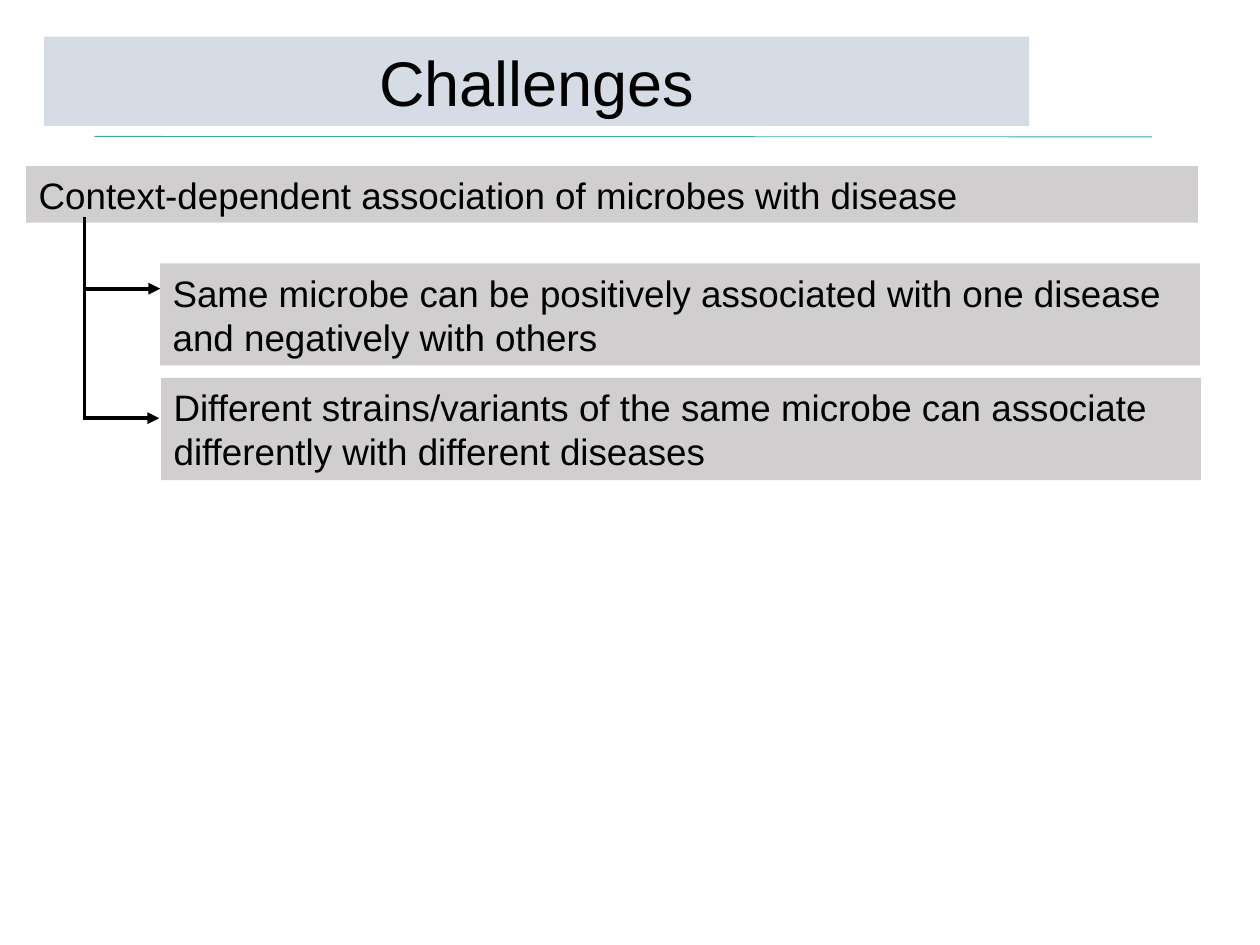
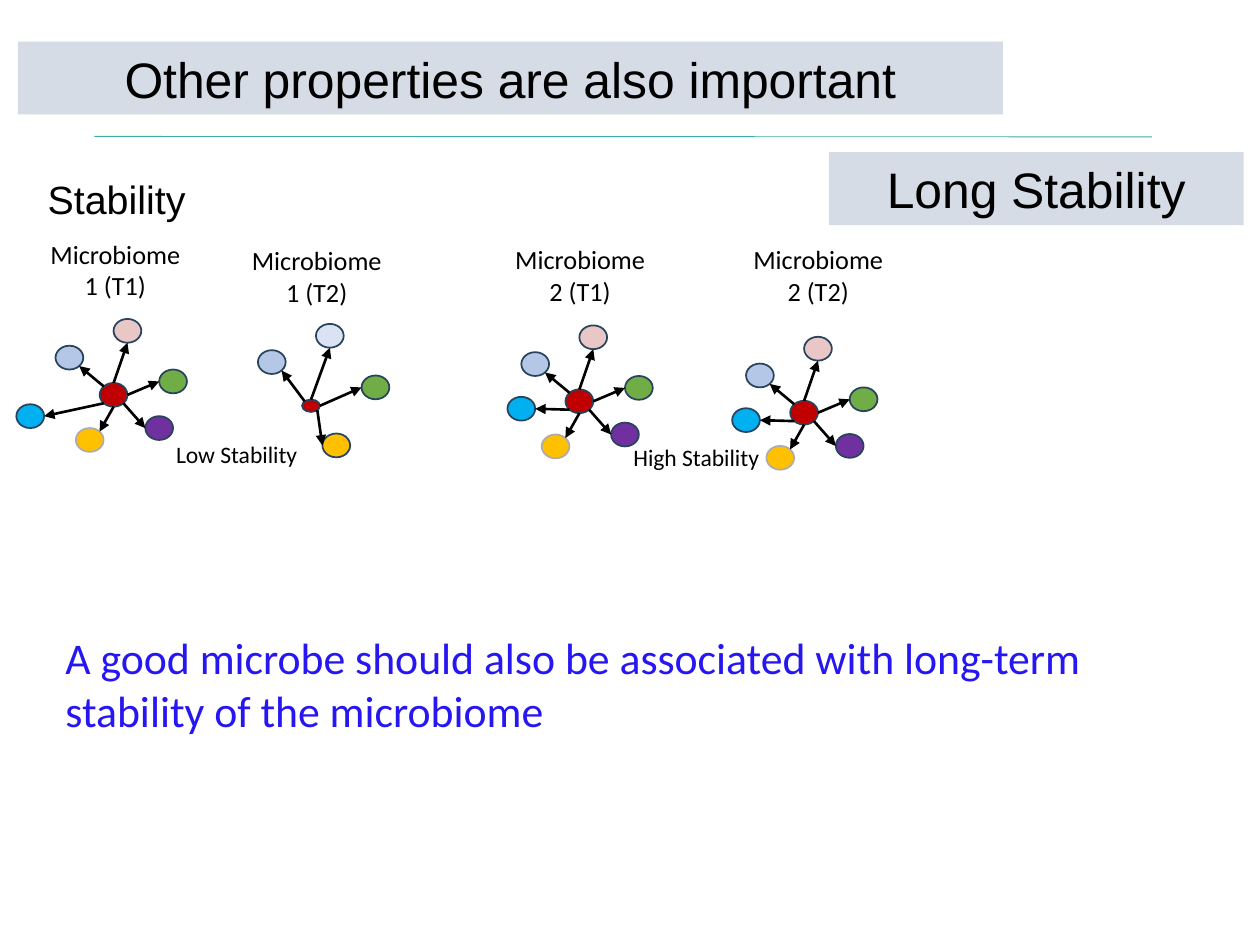
from dataclasses import dataclass
from math import cos, radians, sin

from lxml.etree import SubElement
from pptx import Presentation
from pptx.dml.color import RGBColor
from pptx.enum.shapes import MSO_CONNECTOR, MSO_SHAPE
from pptx.enum.text import MSO_AUTO_SIZE, PP_ALIGN
from pptx.oxml.ns import qn
from pptx.util import Cm, Pt


@dataclass(frozen=True)
class Theme:
    heading_font: str = "Arial"
    label_font: str = "Calibri"
    ink: str = "000000"
    accent: str = "2616F2"
    rule: str = "3DACA7"
    band: str = "D6DCE5"
    panel: str = "D0CECE"
    outline: str = "28445D"
    soft_outline: str = "AFABAB"
    hub: str = "C00000"
    blue: str = "B4C7E7"
    pale: str = "DAE3F3"
    amber: str = "FFC000"
    cyan: str = "00B0F0"
    pink: str = "EAC7C7"
    green: str = "70AD47"
    purple: str = "7030A0"
    title_size: float = 36
    subtitle_size: float = 28.5
    point_size: float = 21
    section_size: float = 22.5
    note_size: float = 25
    caption_size: float = 15
    stability_size: float = 13.5


THEME = Theme()
BAND_WIDTH = 19.86
MICROBE_SIZE = (0.56, 0.48)
SMALL_HUB_SIZE = (0.36, 0.25)

CHALLENGE = ("Context-dependent association of microbes with disease", (0.53, 3.35, 23.62, 1.14))
BRANCHES = [
    ("Same microbe can be positively associated with one disease and negatively with others",
     (3.23, 5.31, 20.96, 2.06), (4.37, 5.82), (1.7, 5.82)),
    ("Different strains/variants of the same microbe can associate differently with different diseases",
     (3.25, 7.62, 20.96, 2.06), (5.72, 8.46), (1.68, 8.43)),
]
STEM_X = 1.7
BRANCH_LENGTH = 1.53

SITES = {"right": 0, "bottom right": 45, "bottom": 90, "bottom left": 135,
         "left": 180, "top left": 225, "top": 270}
SITES["top right"] = 315

STABLE_MICROBES = {
    "blue": (-0.89, -0.75, "top left", "bottom right"),
    "amber": (-0.48, 0.91, "bottom", "top right"),
    "cyan": (-1.17, 0.15, "bottom left", "right"),
    "pink": (0.28, -1.29, "top", "bottom"),
    "green": (1.2, -0.27, "right", "left"),
    "purple": (0.92, 0.67, "bottom right", "left"),
}
FIRST_MICROBES = STABLE_MICROBES | {"cyan": (-1.68, 0.43, "bottom left", "right")}
REDUCED_MICROBES = {
    "blue": (-0.79, -0.88, "top left", "bottom right"),
    "pale": (0.38, -1.41, "top", "bottom"),
    "green": (1.3, -0.37, "right", "left"),
    "amber": (0.51, 0.8, "bottom right", "left"),
}
COMPARISONS = [
    {"label": ("Low Stability", (3.3, 8.74, 3, 0.84)),
     "networks": [
         ("Microbiome 1 (T1)", (0.66, 4.67), (2.29, 7.96), MICROBE_SIZE, FIRST_MICROBES),
         ("Microbiome 1 (T2)", (4.72, 4.8), (6.27, 8.18), SMALL_HUB_SIZE, REDUCED_MICROBES)]},
    {"label": ("High Stability", (12.52, 8.81, 3.07, 0.84)),
     "networks": [
         ("Microbiome 2 (T1)", (10.03, 4.78), (11.68, 8.09), MICROBE_SIZE, STABLE_MICROBES),
         ("Microbiome 2 (T2)", (14.83, 4.78), (16.21, 8.32), MICROBE_SIZE, STABLE_MICROBES)]},
]
SECTION = ("Stability", (0.71, 3.4, 5.44, 1.22))
SIDE_BAND = ("Long Stability", (16.71, 3.07, 8.36, 1.47))
NOTE = ("A good microbe should also be associated with long-term stability of the microbiome",
        (1.07, 12.6, 21.36, 2.39))


def color(value):
    return RGBColor.from_string(value)


def add_text(shapes, text, place, size, font=THEME.heading_font, ink=THEME.ink,
             fill=None, centered=False, wrap=True):
    bounds = [Cm(length) for length in place]
    if fill:
        box = shapes.add_shape(MSO_SHAPE.RECTANGLE, *bounds)
        box.shadow.inherit = False
        box.fill.solid()
        box.fill.fore_color.rgb = color(fill)
        box.line.fill.background()
    else:
        box = shapes.add_textbox(*bounds)
    frame = box.text_frame
    frame.text = text
    frame.word_wrap = wrap
    frame.auto_size = MSO_AUTO_SIZE.SHAPE_TO_FIT_TEXT
    para = frame.paragraphs[0]
    para.alignment = PP_ALIGN.CENTER if centered else PP_ALIGN.LEFT
    span = para.runs[0]
    span.font.name = font
    span.font.size = Pt(size)
    span.font.color.rgb = color(ink)


def add_line(shapes, start, end, width, ink=THEME.ink, arrow=False):
    points = [Cm(length) for length in (*start, *end)]
    line = shapes.add_connector(MSO_CONNECTOR.STRAIGHT, *points)
    line.line.width = Pt(width)
    line.line.color.rgb = color(ink)
    if arrow:
        SubElement(line.line._get_or_add_ln(), qn("a:tailEnd"), type="triangle")
    SubElement(line._element.spPr, qn("a:effectLst"))


def add_ellipse(shapes, center, size, fill, outline=THEME.outline):
    corner = [middle - length / 2 for middle, length in zip(center, size)]
    ellipse = shapes.add_shape(MSO_SHAPE.OVAL, *[Cm(length) for length in (*corner, *size)])
    ellipse.shadow.inherit = False
    ellipse.fill.solid()
    ellipse.fill.fore_color.rgb = color(fill)
    ellipse.line.width = Pt(1)
    ellipse.line.color.rgb = color(outline)


def rim_point(center, size, site):
    angle = radians(SITES[site])
    return (center[0] + size[0] / 2 * cos(angle), center[1] + size[1] / 2 * sin(angle))


def add_network(shapes, caption, caption_corner, hub, hub_size, microbes):
    add_ellipse(shapes, hub, hub_size, THEME.hub)
    for name, (across, down, hub_site, microbe_site) in microbes.items():
        center = (hub[0] + across, hub[1] + down)
        soft = name == "amber" and hub_size == MICROBE_SIZE
        add_ellipse(shapes, center, MICROBE_SIZE, getattr(THEME, name),
                    THEME.soft_outline if soft else THEME.outline)
        add_line(shapes, rim_point(hub, hub_size, hub_site),
                 rim_point(center, MICROBE_SIZE, microbe_site), 1.5, arrow=True)
    add_text(shapes, caption, (*caption_corner, 3.33, 1.55), THEME.caption_size,
             THEME.label_font, centered=True)


def add_page(deck, title, left, top, height, size):
    page = deck.slides.add_slide(deck.slide_layouts[6])
    add_line(page.shapes, (1.9, 2.75), (23.22, 2.76), 0.5, THEME.rule)
    add_text(page.shapes, title, (left, top, BAND_WIDTH, height), size,
             fill=THEME.band, centered=True)
    return page


def build_challenges(deck):
    shapes = add_page(deck, "Challenges", 0.89, 0.74, 1.8, THEME.title_size).shapes
    add_text(shapes, *CHALLENGE, THEME.point_size, fill=THEME.panel)
    for text, place, (stem_top, stem_bottom), (arrow_left, arrow_y) in BRANCHES:
        add_line(shapes, (STEM_X, stem_top), (STEM_X, stem_bottom), 2)
        add_line(shapes, (arrow_left, arrow_y), (arrow_left + BRANCH_LENGTH, arrow_y),
                 2.25, arrow=True)
        add_text(shapes, text, place, THEME.point_size, fill=THEME.panel)


def build_properties(deck):
    shapes = add_page(deck, "Other properties are also important", 0.36, 0.84, 1.47,
                      THEME.subtitle_size).shapes
    for comparison in COMPARISONS:
        group = shapes.add_group_shape()
        for network in comparison["networks"]:
            add_network(group.shapes, *network)
        add_text(group.shapes, *comparison["label"], THEME.stability_size,
                 THEME.label_font, wrap=False)
    add_text(shapes, *SECTION, THEME.section_size)
    add_text(shapes, *SIDE_BAND, THEME.subtitle_size, fill=THEME.band, centered=True)
    add_text(shapes, *NOTE, THEME.note_size, THEME.label_font, THEME.accent)


def main():
    deck = Presentation()
    deck.slide_width = Cm(25.4)
    deck.slide_height = Cm(19.05)
    build_challenges(deck)
    build_properties(deck)
    deck.save("out.pptx")


if __name__ == "__main__":
    main()
